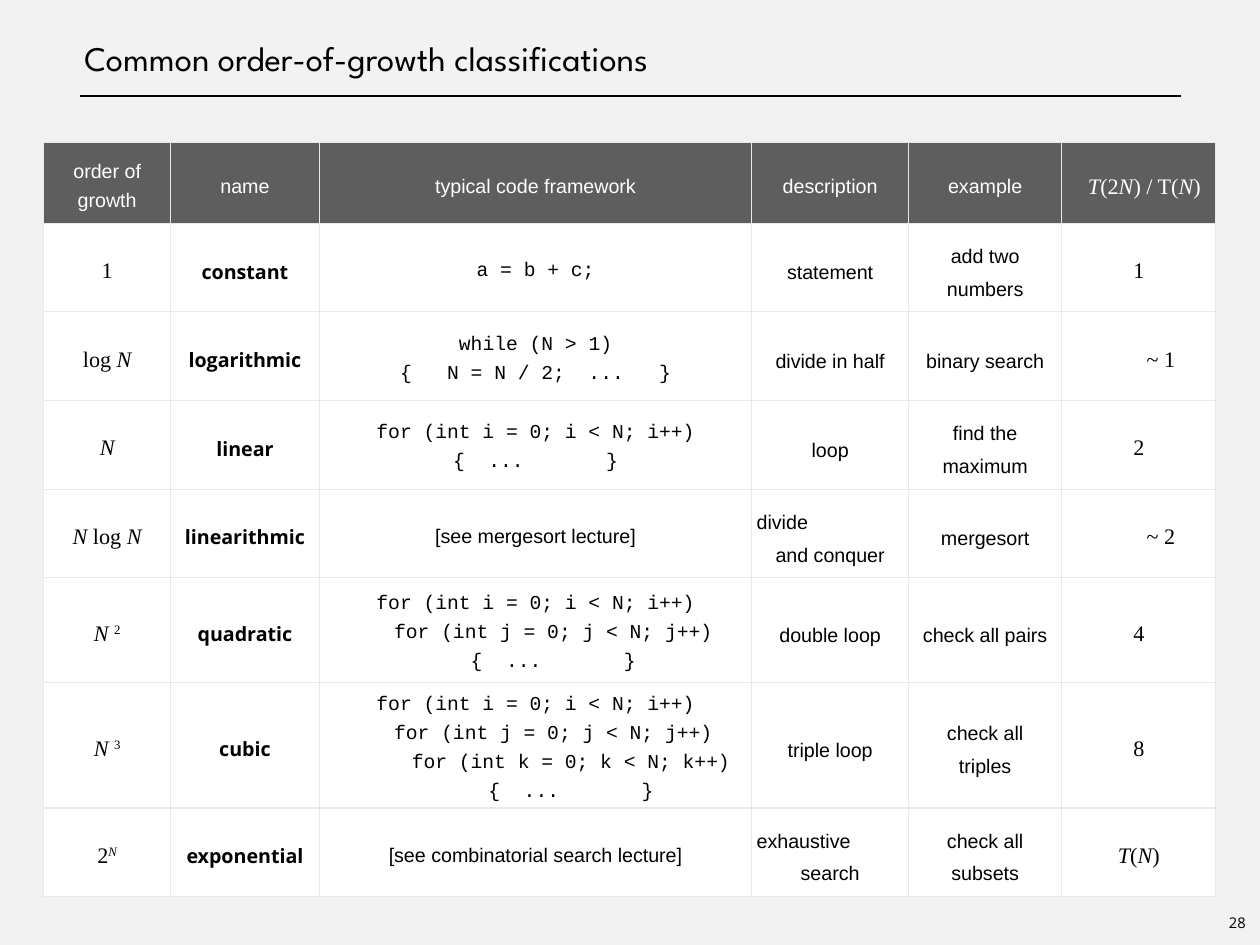
from dataclasses import dataclass, replace
from typing import NamedTuple

from lxml.etree import SubElement
from pptx import Presentation
from pptx.dml.color import RGBColor
from pptx.enum.shapes import MSO_CONNECTOR
from pptx.enum.text import MSO_ANCHOR, MSO_AUTO_SIZE, PP_ALIGN
from pptx.oxml.ns import qn
from pptx.util import Pt


@dataclass(frozen=True)
class Theme:
    back: str = "F2F2F2"
    ink: str = "000000"
    head: str = "5E5E5E"
    paper: str = "FFFFFF"
    grid: str = "E7EAEB"
    title: float = 28
    math: float = 18
    body: float = 16
    small: float = 12
    pad: float = 4
    inset: float = 4.5


THEME = Theme()


@dataclass(frozen=True)
class Style:
    face: str = "Arial"
    size: float = THEME.body
    color: str = THEME.ink
    bold: bool = False
    left: float = THEME.inset
    right: float = THEME.inset
    space: float = 1.3
    flush: bool = False  # lines before the last start at the left edge


PLAIN = Style()
NAME = Style("Open Sans", bold=True)
CODE = Style("Courier New", left=10.8, right=10.8)
TASK = Style(space=1.5, flush=True)
CASE = Style(space=1.5)
MATH = Style("Times New Roman", THEME.math)
NEAR = replace(MATH, left=THEME.inset + 36)
HEAD = Style(color=THEME.paper)
RATIO = replace(MATH, color=THEME.paper, left=THEME.inset + 9)


class Order(NamedTuple):
    growth: str
    name: str
    code: str
    task: str
    case: str
    ratio: str
    height: float = 72


# In these texts *...* is italic and ^ raises the piece it starts
HEADS = Order("order of growth", "name", "typical code framework",
              "description", "example", "*T*(2*N*) / T(*N*)", 65.5)
ORDERS = [
    Order("1", "constant", "a = b + c;", "statement", "add two numbers", "1"),
    Order("log *N*", "logarithmic", "while (N > 1)\n{   N = N / 2;  ...   }",
          "divide in half", "binary search", "~ 1"),
    Order("*N*", "linear", "for (int i = 0; i < N; i++)\n{  ...       }",
          "loop", "find the maximum", "2"),
    Order("*N* log *N*", "linearithmic", "[see mergesort lecture]",
          "divide\nand conquer", "mergesort", "~ 2"),
    Order("*N *^2", "quadratic",
          "for (int i = 0; i < N; i++)\n"
          "   for (int j = 0; j < N; j++)\n"
          "   {  ...       }",
          "double loop", "check all pairs", "4", 85),
    Order("*N *^3", "cubic",
          "for (int i = 0; i < N; i++)\n"
          "   for (int j = 0; j < N; j++)\n"
          "      for (int k = 0; k < N; k++)\n"
          "      {  ...       }",
          "triple loop", "check all triples", "8", 102.2),
    Order("2*^N*", "exponential", "[see combinatorial search lecture]",
          "exhaustive\nsearch", "check all subsets", "*T*(*N*)"),
]
WIDTHS = [103, 121, 351.4, 127.4, 124.6, 125.2]


def tint(code: str) -> RGBColor:
    return RGBColor.from_string(code)


def set_font(para, style: Style) -> None:
    font = para.font
    font.name, font.size, font.bold = style.face, Pt(style.size), style.bold
    font.color.rgb = tint(style.color)


def add_runs(para, text: str, style: Style) -> None:
    for i, part in enumerate(text.split("*")):
        if not part:
            continue
        run = para.add_run()
        run.text = part.lstrip("^")
        run.font.italic = i % 2 == 1
        run.font.bold = style.bold
        if part.startswith("^"):
            run._r.get_or_add_rPr().set("baseline", "32000")


def set_pad(box) -> None:
    box.margin_left = box.margin_right = Pt(THEME.pad)
    box.margin_top = box.margin_bottom = Pt(THEME.pad)


def add_grid(cell) -> None:
    props = cell._tc.get_or_add_tcPr()
    for i, side in enumerate(("lnL", "lnR", "lnT", "lnB")):
        line = SubElement(props, qn(f"a:{side}"), w=str(Pt(1)))
        fill = SubElement(line, qn("a:solidFill"))
        SubElement(fill, qn("a:srgbClr"), val=THEME.grid)
        props.insert(i, line)


def fill_cell(cell, text: str, style: Style, fill: str) -> None:
    cell.fill.solid()
    cell.fill.fore_color.rgb = tint(fill)
    add_grid(cell)
    set_pad(cell)
    cell.vertical_anchor = MSO_ANCHOR.MIDDLE
    frame = cell.text_frame
    lines = text.split("\n")
    for i, line in enumerate(lines):
        para = frame.add_paragraph() if i else frame.paragraphs[0]
        edge = style.flush and i < len(lines) - 1
        para.alignment = PP_ALIGN.LEFT if edge else PP_ALIGN.CENTER
        para.line_spacing = style.space
        props = para._p.get_or_add_pPr()
        props.set("marL", str(Pt(0 if edge else style.left)))
        props.set("marR", str(Pt(style.right)))
        set_font(para, style)
        add_runs(para, line, style)


def pick(order: Order) -> list[Style]:
    if order is HEADS:
        return [HEAD] * 5 + [RATIO]
    code = PLAIN if order.code.startswith("[") else CODE
    ratio = NEAR if order.ratio.startswith("~") else MATH
    return [MATH, NAME, code, TASK, CASE, ratio]


def add_title(slide) -> None:
    title = slide.shapes.title
    title.left, title.top, title.width, title.height = Pt(64), Pt(0), Pt(896), Pt(64)
    frame = title.text_frame
    frame.auto_size = MSO_AUTO_SIZE.NONE
    frame.vertical_anchor = MSO_ANCHOR.BOTTOM
    frame.margin_left = Pt(THEME.inset)
    frame.margin_right = frame.margin_top = frame.margin_bottom = Pt(0)
    frame.text = "Common order-of-growth classifications"
    para = frame.paragraphs[0]
    para.alignment = PP_ALIGN.LEFT
    set_font(para, Style("League Spartan", THEME.title))


def add_rule(slide) -> None:
    rule = slide.shapes.add_connector(
        MSO_CONNECTOR.STRAIGHT, Pt(65), Pt(78), Pt(960), Pt(78))
    rule.line.color.rgb = tint(THEME.ink)
    rule.line.width = Pt(1)
    SubElement(rule._element.spPr, qn("a:effectLst"))


def add_orders(slide) -> None:
    rows = [HEADS, *ORDERS]
    table = slide.shapes.add_table(
        len(rows), len(WIDTHS), Pt(35.6), Pt(116), Pt(sum(WIDTHS)),
        Pt(sum(row.height for row in rows))).table
    table.horz_banding = False
    for col, width in zip(table.columns, WIDTHS):
        col.width = Pt(width)
    for r, row in enumerate(rows):
        table.rows[r].height = Pt(row.height)
        fill = THEME.paper if r else THEME.head
        for c, (text, style) in enumerate(zip(row[:6], pick(row))):
            fill_cell(table.cell(r, c), text, style, fill)


def add_number(slide) -> None:
    frame = slide.shapes.add_textbox(Pt(994.4), Pt(738.7), Pt(22.4), Pt(22.4)).text_frame
    frame.word_wrap = False
    frame.vertical_anchor = MSO_ANCHOR.MIDDLE
    set_pad(frame)
    frame.text = "28"
    para = frame.paragraphs[0]
    para.alignment = PP_ALIGN.CENTER
    set_font(para, Style("Open Sans", THEME.small))


def main() -> None:
    deck = Presentation()
    deck.slide_width, deck.slide_height = Pt(1024), Pt(768)
    slide = deck.slides.add_slide(deck.slide_layouts[5])
    slide.background.fill.solid()
    slide.background.fill.fore_color.rgb = tint(THEME.back)
    add_title(slide)
    add_rule(slide)
    add_orders(slide)
    add_number(slide)
    deck.save("out.pptx")


if __name__ == "__main__":
    main()
